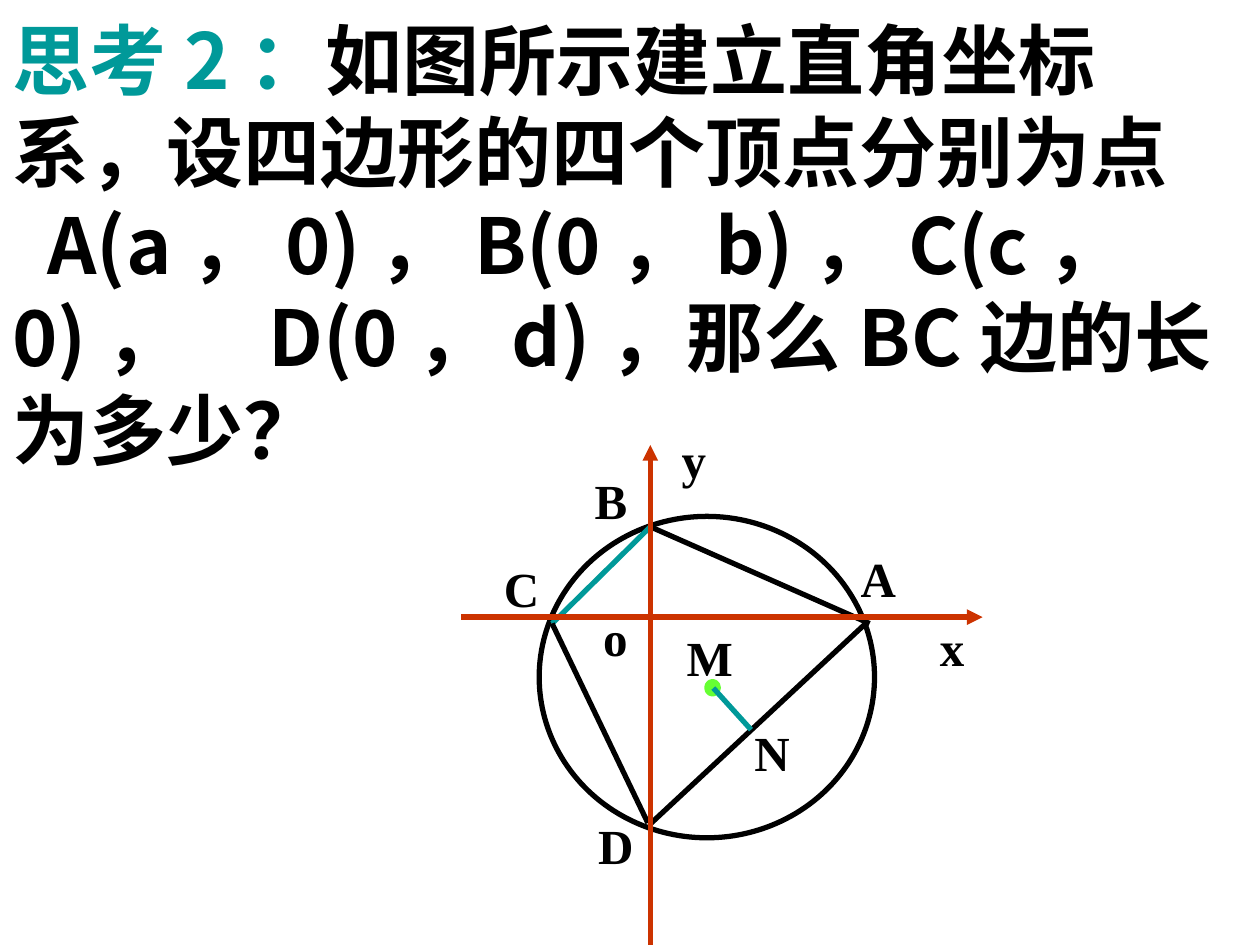
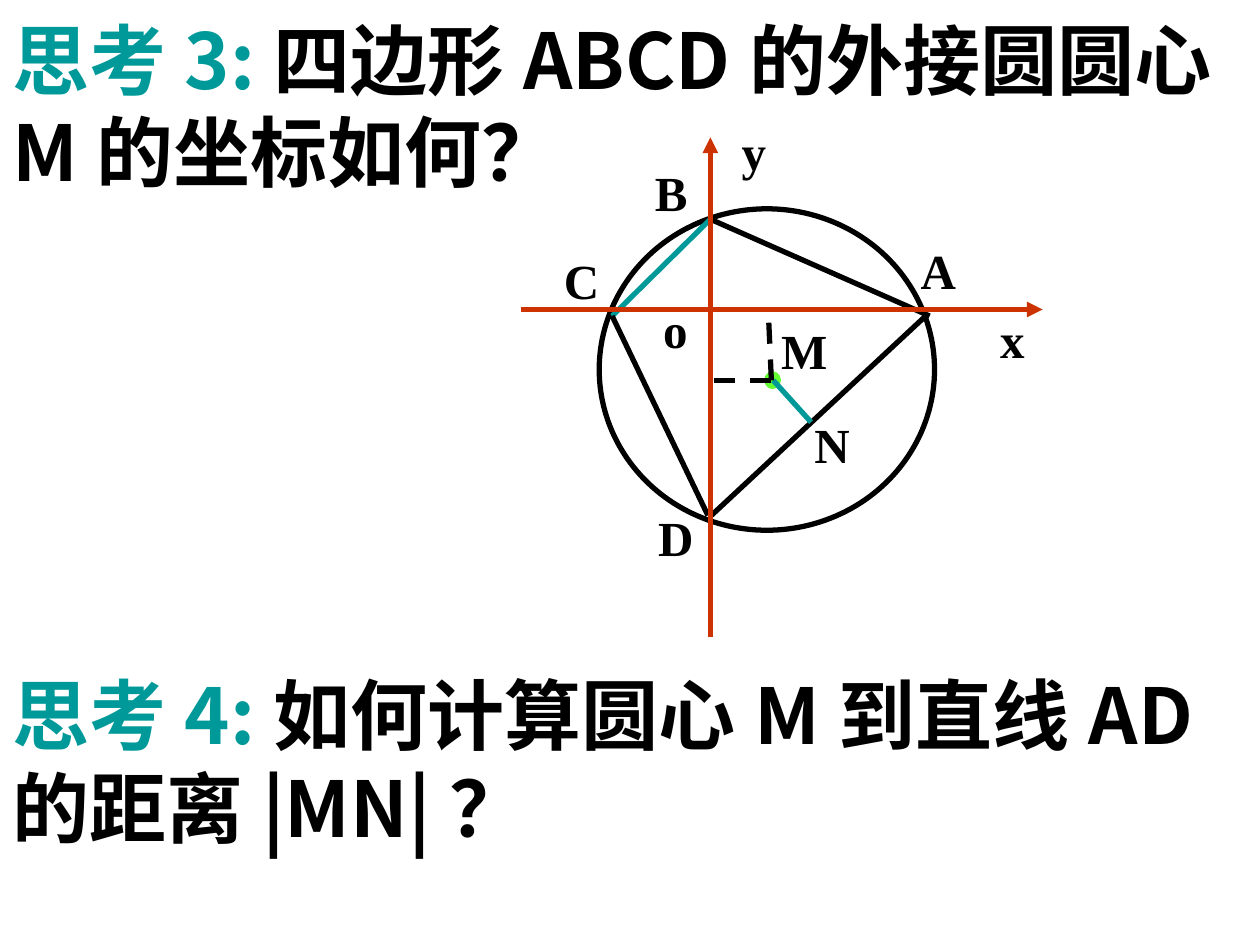
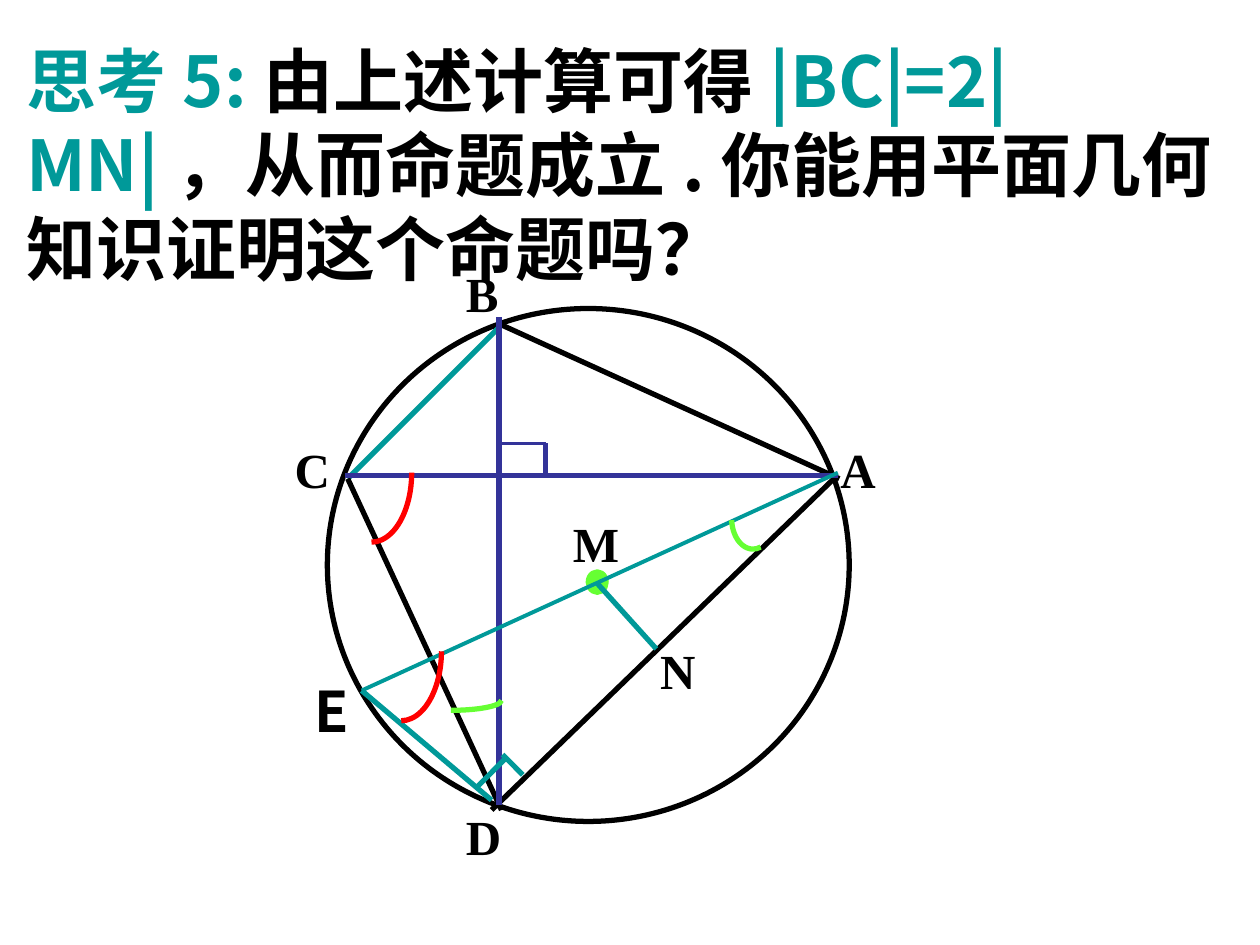
from lxml.etree import SubElement
from pptx import Presentation
from pptx.dml.color import RGBColor
from pptx.enum.dml import MSO_LINE
from pptx.enum.shapes import MSO_CONNECTOR, MSO_SHAPE
from pptx.oxml.ns import qn
from pptx.util import Cm, Pt

COLORS = {
    "ink": "000000",
    "teal": "009999",
    "green": "66FF33",
    "axis": "CC3300",
    "violet": "333399",
    "red": "FF0000",
}
HEADING_FONT = "Noto Sans CJK SC"
LABEL_FONT = "Times New Roman"


def add_text(page, area, paragraphs, size, font=HEADING_FONT):
    """Add a bold text box; a paragraph lists (text, colour) runs, None breaks the line."""
    box = page.shapes.add_textbox(*[Cm(length) for length in area])
    frame = box.text_frame
    frame.word_wrap = True
    for index, spans in enumerate(paragraphs):
        para = frame.add_paragraph() if index else frame.paragraphs[0]
        for entry in spans:
            if entry is None:
                para.add_line_break()
                continue
            text, color = entry
            span = para.add_run()
            span.text = text
            span.font.size = Pt(size)
            span.font.bold = True
            span.font.name = font
            span.font.color.rgb = RGBColor.from_string(COLORS[color])
            SubElement(span.font._element, qn("a:ea"), typeface=font)
    return frame.paragraphs


def add_line(page, start, end, color, width=3, arrow=False, dash=False):
    line = page.shapes.add_connector(
        MSO_CONNECTOR.STRAIGHT, *[Cm(length) for length in start + end])
    line.line.color.rgb = RGBColor.from_string(COLORS[color])
    line.line.width = Pt(width)
    if dash:
        line.line.dash_style = MSO_LINE.DASH
    if arrow:
        SubElement(line.line._get_or_add_ln(), qn("a:tailEnd"), type="triangle")
    SubElement(line._element.spPr, qn("a:effectLst"))


deck = Presentation()
deck.slide_width = Cm(25.4)
deck.slide_height = Cm(19.05)
pages = [deck.slides.add_slide(deck.slide_layouts[6]) for _ in range(3)]
coordinate_page, centre_page, proof_page = pages

# Questions
question = add_text(coordinate_page, (0, 0.13, 24.89, 9.58), [
    [("思考2：", "teal"), ("如图所示建立直角坐标", "ink"), None,
     ("系，设四边形的四个顶点分别为点", "ink")],
    [("\tA(a，0)，B(0，b)，C(c，0)，\tD(0，d)，那么BC边的长为多少？", "ink")],
], 44)
tabs = SubElement(question[1]._p.get_or_add_pPr(), qn("a:tabLst"))
for position in (0.71, 5.16):
    SubElement(tabs, qn("a:tab"), pos=str(Cm(position)), algn="l")

add_text(centre_page, (0, 0.13, 25.4, 3.99), [
    [("思考3:", "teal"), ("四边形ABCD的外接圆圆心M的坐标如何？", "ink")]], 44)
add_text(centre_page, (0, 13.34, 24.71, 3.99), [
    [("思考4:", "teal"), ("如何计算圆心M到直线AD的距离|MN|？", "ink")]], 44)
add_text(proof_page, (0.28, 0.64, 24.71, 5.33), [[
    ("思考5:", "teal"), ("由上述计算可得", "ink"), ("|BC|=2|MN|", "teal"),
    ("，从而命题成立.你能用平面几何知识证明这个命题吗？", "ink")]], 40)

# Quadrilateral in its circle, small with axes and large with diagonals
small_figure = {
    "circle": (10.87, 10.41, 6.76, 6.48),
    "centre": (14.25, 13.74, 0.23, 0.25),
    "lines": [
        ((13.11, 10.62), (11.13, 12.57), "teal"),
        ((11.13, 12.57), (13.06, 16.59), "ink"),
        ((13.13, 16.59), (17.45, 12.57), "ink"),
        ((13.11, 10.62), (17.53, 12.57), "ink"),
        ((14.38, 13.87), (15.14, 14.71), "teal"),
        ((9.3, 12.44), (19.81, 12.44), "axis"),
        ((13.11, 19.05), (13.11, 8.97), "axis"),
    ],
    "labels": {
        "A": (17.1, 10.93), "B": (11.74, 9.36), "C": (9.91, 11.13),
        "D": (11.81, 16.31), "M": (13.59, 12.53), "N": (14.96, 14.44),
        "x": (18.7, 12.32), "y": (13.49, 8.53), "o": (11.91, 12.12),
    },
}
large_figure = {
    "circle": (6.6, 6.22, 10.52, 10.34),
    "centre": (11.86, 11.53, 0.36, 0.41),
    "lines": [
        ((10.11, 6.55), (7.01, 9.65), "teal"),
        ((7.01, 9.65), (10.11, 16.33), "ink"),
        ((9.91, 16.33), (16.81, 9.65), "ink"),
        ((10.11, 6.55), (16.92, 9.65), "ink"),
        ((12.04, 11.76), (13.23, 13.08), "teal"),
        ((6.96, 9.58), (16.89, 9.58), "violet"),
        ((10.06, 6.4), (10.06, 16.23), "violet"),
    ],
    "labels": {
        "A": (16.69, 8.74), "B": (9.14, 5.18), "C": (5.69, 8.74),
        "D": (9.14, 16.13), "M": (11.3, 10.22), "N": (13.06, 12.78),
    },
}
# The label M moves aside where dashed lines meet the centre
shifted_figure = small_figure | {
    "labels": small_figure["labels"] | {"M": (14.29, 12.53)}}
placements = [
    (coordinate_page, small_figure, 0, 0),
    (centre_page, shifted_figure, 1.21, -6.2),
    (proof_page, large_figure, 0, 0),
]
for page, figure, right, down in placements:
    for part, color in (("circle", "ink"), ("centre", "green")):
        left, top, width, height = figure[part]
        oval = page.shapes.add_shape(
            MSO_SHAPE.OVAL, Cm(left + right), Cm(top + down), Cm(width), Cm(height))
        oval.shadow.inherit = False
        oval.line.color.rgb = RGBColor.from_string(COLORS[color])
        oval.line.width = Pt(3)
        if part == "circle":
            oval.fill.background()
        else:
            oval.fill.solid()
            oval.fill.fore_color.rgb = RGBColor.from_string(COLORS[color])
    for start, end, color in figure["lines"]:
        add_line(page, (start[0] + right, start[1] + down),
                 (end[0] + right, end[1] + down), color, arrow=color == "axis")
    for letter, (left, top) in figure["labels"].items():
        add_text(page, (left + right, top + down, 1.7, 1.4),
                 [[(letter, "ink")]], 28, LABEL_FONT)

# Coordinates of the centre M
for foot in ((14.35, 7.67), (15.49, 6.32)):
    add_line(centre_page, (15.55, 7.67), foot, "ink", dash=True)

# Proof: right angles, diameter AE and chord ED
for start, end, color, width in [
    ((10.06, 8.94), (11, 8.94), "violet", 2.25),
    ((11, 8.94), (11, 9.58), "violet", 3),
    ((7.29, 13.92), (9.91, 16.13), "teal", 3),
    ((16.89, 9.53), (7.29, 13.92), "teal", 2.25),
    ((9.6, 15.88), (10.21, 15.27), "teal", 3),
    ((10.13, 15.21), (10.54, 15.62), "teal", 3),
]:
    add_line(proof_page, start, end, color, width)
add_text(proof_page, (6.1, 13.52, 2, 1.63), [[("E", "ink")]], 32)

# Equal angles: arc centre, radii, start and end in degrees
for x, y, radius_x, radius_y, first, last, color in [
    (7.49, 9.53, 0.81, 1.4, 0, 90, "red"),
    (8.09, 13.13, 0.81, 1.4, 0, 90, "red"),
    (9.09, 14.12, 1.02, 0.2, 0, 90, "green"),
    (15.18, 10.45, 0.43, 0.62, 75, 175, "green"),
]:
    arc = proof_page.shapes.add_shape(
        MSO_SHAPE.ARC, Cm(x - radius_x), Cm(y - radius_y),
        Cm(2 * radius_x), Cm(2 * radius_y))
    arc.adjustments[0] = first * 0.6
    arc.adjustments[1] = last * 0.6
    arc.shadow.inherit = False
    arc.fill.background()
    arc.line.color.rgb = RGBColor.from_string(COLORS[color])
    arc.line.width = Pt(3)

deck.save("out.pptx")
